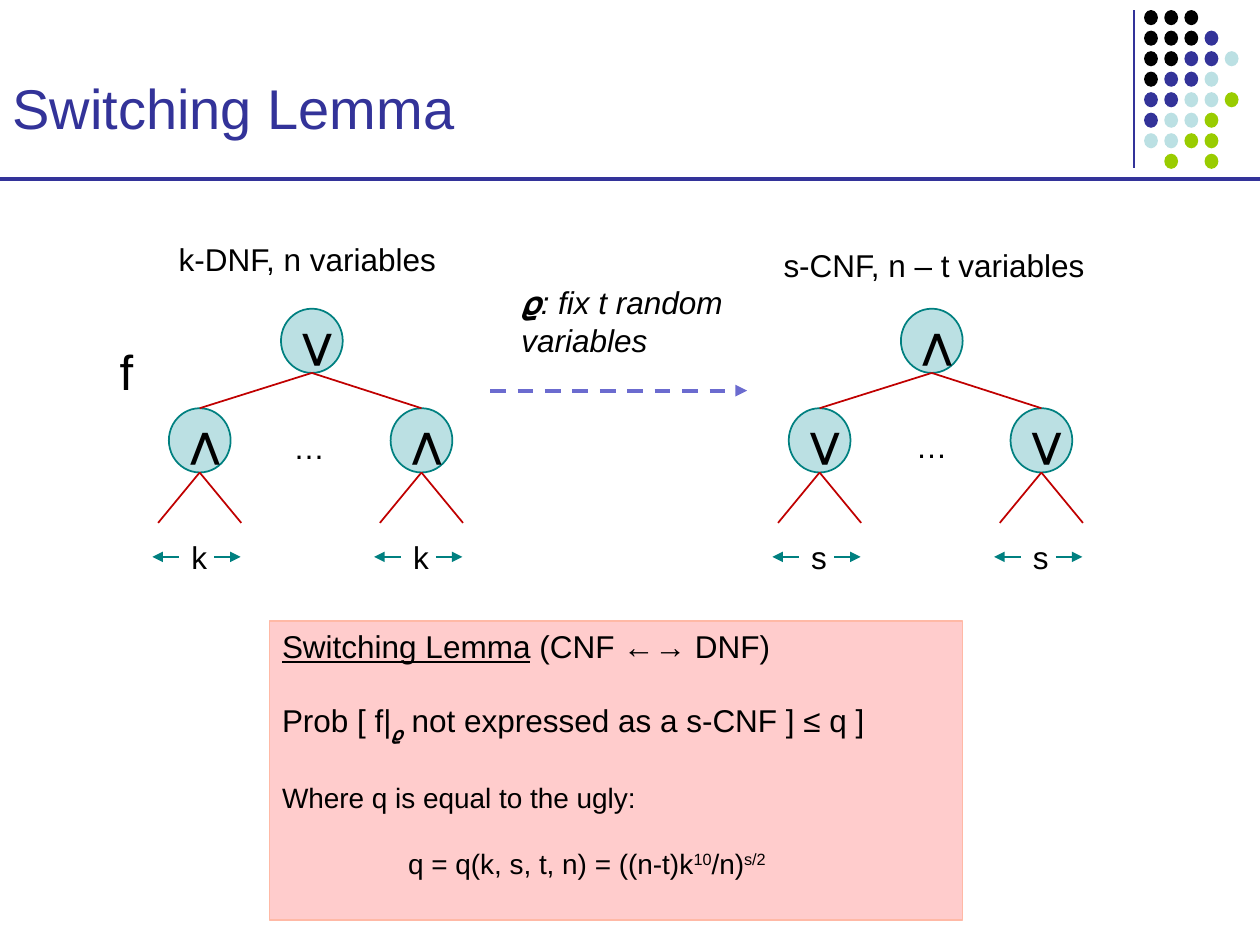
from pptx import Presentation
from pptx.dml.color import RGBColor
from pptx.enum.dml import MSO_LINE
from pptx.enum.shapes import MSO_CONNECTOR, MSO_SHAPE
from pptx.enum.text import MSO_ANCHOR, PP_ALIGN
from pptx.oxml.ns import qn
from pptx.util import Inches, Pt
from lxml import etree

OVAL, RECT = MSO_SHAPE.OVAL, MSO_SHAPE.RECTANGLE
STRAIGHT, DASH = MSO_CONNECTOR.STRAIGHT, MSO_LINE.DASH
LEFT, TOP, BOTTOM = PP_ALIGN.LEFT, MSO_ANCHOR.TOP, MSO_ANCHOR.BOTTOM
rgb = RGBColor.from_string
BLACK, NAVY, PALE, LIME = "000000", "333399", "BBE0E3", "99CC00"
TEAL, RED = "008080", "C00000"


def write(p, text, size, color=BLACK, baseline=0):
    r = p.add_run()
    r.text = text
    r.font.name = "Arial"
    r.font.size = Pt(size)
    r.font.color.rgb = rgb(color)
    if baseline:
        r.font._element.set("baseline", str(baseline * 1000))
    return r


def add_line(x1, y1, x2, y2, color, width=1, arrow=False):
    c = s.shapes.add_connector(STRAIGHT, Inches(x1), Inches(y1), Inches(x2), Inches(y2))
    c.line.color.rgb = rgb(color)
    c.line.width = Pt(width)
    if arrow:
        etree.SubElement(c.line._get_or_add_ln(), qn("a:tailEnd"), type="triangle")
    etree.SubElement(c._element.spPr, qn("a:effectLst"))
    return c


prs = Presentation()
prs.slide_width, prs.slide_height = Inches(10), Inches(7.5)
s = prs.slides.add_slide(prs.slide_layouts[6])

# Corner dots and rules
add_line(9, 0.08, 9, 1.33, NAVY, 1.5)
dot_colors = {"K": BLACK, "N": NAVY, "P": PALE, "L": LIME}
dot_rows = ["KKK", "KKKN", "KKNNP", "KNNP", "NNPPL", "NPPL", "PPLL", " L L"]
for row, codes in enumerate(dot_rows):
    for col, code in enumerate(codes):
        if code in dot_colors:
            sp = s.shapes.add_shape(OVAL, Inches(9.08 + 0.16 * col),
                                    Inches(0.08 + 1.14 * row / 7),
                                    Inches(0.11), Inches(0.12))
            sp.shadow.inherit = False
            sp.fill.solid()
            sp.fill.fore_color.rgb = rgb(dot_colors[code])
            sp.line.fill.background()
add_line(0, 1.42, 10, 1.42, NAVY, 2.25)

# Title
sp = s.shapes.add_textbox(0, Inches(0.17), Inches(8.92), Inches(1))
tf = sp.text_frame
tf.word_wrap = True
tf.vertical_anchor = BOTTOM
write(tf.paragraphs[0], "Switching Lemma", 32, NAVY)

# Formula trees: a root gate, two child gates, and their inputs
NODE_W, NODE_H, ROOT_Y, CHILD_Y = 0.49, 0.51, 2.45, 3.24
labels = []
for root_x, root_gate, child_gate, fan_in in [(2.23, "⋁", "⋀", "k"), (7.15, "⋀", "⋁", "s")]:
    child_xs = [root_x - 0.89, root_x + 0.87]
    gates = []
    for x, y, gate in [(root_x, ROOT_Y, root_gate)] + [(x, CHILD_Y, child_gate) for x in child_xs]:
        sp = s.shapes.add_shape(OVAL, Inches(x), Inches(y), Inches(NODE_W), Inches(NODE_H))
        sp.shadow.inherit = False
        sp.fill.solid()
        sp.fill.fore_color.rgb = rgb(PALE)
        sp.line.color.rgb = rgb(TEAL)
        sp.line.width = Pt(1)
        tf = sp.text_frame
        tf.vertical_anchor = TOP
        p = tf.paragraphs[0]
        p.alignment = LEFT
        write(p, gate, 20).font.bold = True
        gates.append(sp)

    for x, child in zip(child_xs, gates[1:]):
        mid = x + NODE_W / 2
        foot = CHILD_Y + NODE_H
        edge = add_line(root_x + NODE_W / 2, ROOT_Y + NODE_H, mid, CHILD_Y, RED)
        edge.end_connect(child, 0)
        for side in (-1, 1):
            add_line(mid, foot, mid + 0.33 * side, foot + 0.4, RED)
        add_line(x + 0.08, 4.42, x - 0.13, 4.42, TEAL, arrow=True)
        add_line(x + 0.36, 4.42, x + 0.57, 4.42, TEAL, arrow=True)
        labels.append((x + 0.08, 4.22, 0.33, 0.4, fan_in, 18))

# Restriction arrow
add_line(3.89, 3.1, 5.93, 3.1, "6B6BCF", 2.25, arrow=True).line.dash_style = DASH
sp = s.shapes.add_textbox(Inches(4.04), Inches(2.2), Inches(1.85), Inches(0.71))
sp.text_frame.word_wrap = True
write(sp.text_frame.paragraphs[0], "𝛠: fix t random variables", 18).font.italic = True

# Labels
labels += [
    (1.32, 1.86, 2.26, 0.4, "k-DNF, n variables", 18),
    (6.12, 1.9, 2.68, 0.4, "s-CNF, n – t variables", 18),
    (0.85, 2.66, 0.31, 0.57, "f", 28),
    (2.23, 3.35, 0.5, 0.4, "…", 18),
    (7.17, 3.34, 0.5, 0.4, "…", 18),
]
for x, y, w, h, text, size in labels:
    sp = s.shapes.add_textbox(Inches(x), Inches(y), Inches(w), Inches(h))
    sp.text_frame.word_wrap = text == "…"
    write(sp.text_frame.paragraphs[0], text, size)

# Lemma box
sp = s.shapes.add_shape(RECT, Inches(2.14), Inches(4.93), Inches(5.5), Inches(2.37))
sp.shadow.inherit = False
sp.fill.solid()
sp.fill.fore_color.rgb = rgb("FFCCCC")
sp.line.color.rgb = rgb("FFB9A6")
sp.line.width = Pt(1)
tf = sp.text_frame
tf.vertical_anchor = TOP

p = tf.paragraphs[0]
p.alignment = LEFT
write(p, "Switching Lemma", 18).font.underline = True
write(p, " (CNF ←→ DNF)", 18)

# Each later line: space before, size, and its (text, baseline) runs
lemma_lines = [
    (20.7, 18, [("Prob [ f|", 0), ("𝛠", -25), (" not expressed as a s-CNF ] ≤ q ]", 0)]),
    (20.7, 16, [("Where q is equal to the ugly:", 0)]),
    (18.4, 16, [("q = q(k, s, t, n) = ((n-t)k", 0), ("10", 30), ("/n)", 0), ("s/2", 30)]),
]
for space, size, runs in lemma_lines:
    p = tf.add_paragraph()
    p.alignment = LEFT
    p.space_before = Pt(space)
    for text, baseline in runs:
        r = write(p, text, size, baseline=baseline)
        r.font.italic = baseline < 0
p._p.get_or_add_pPr().set("marL", str(Inches(1)))

prs.save("out.pptx")
